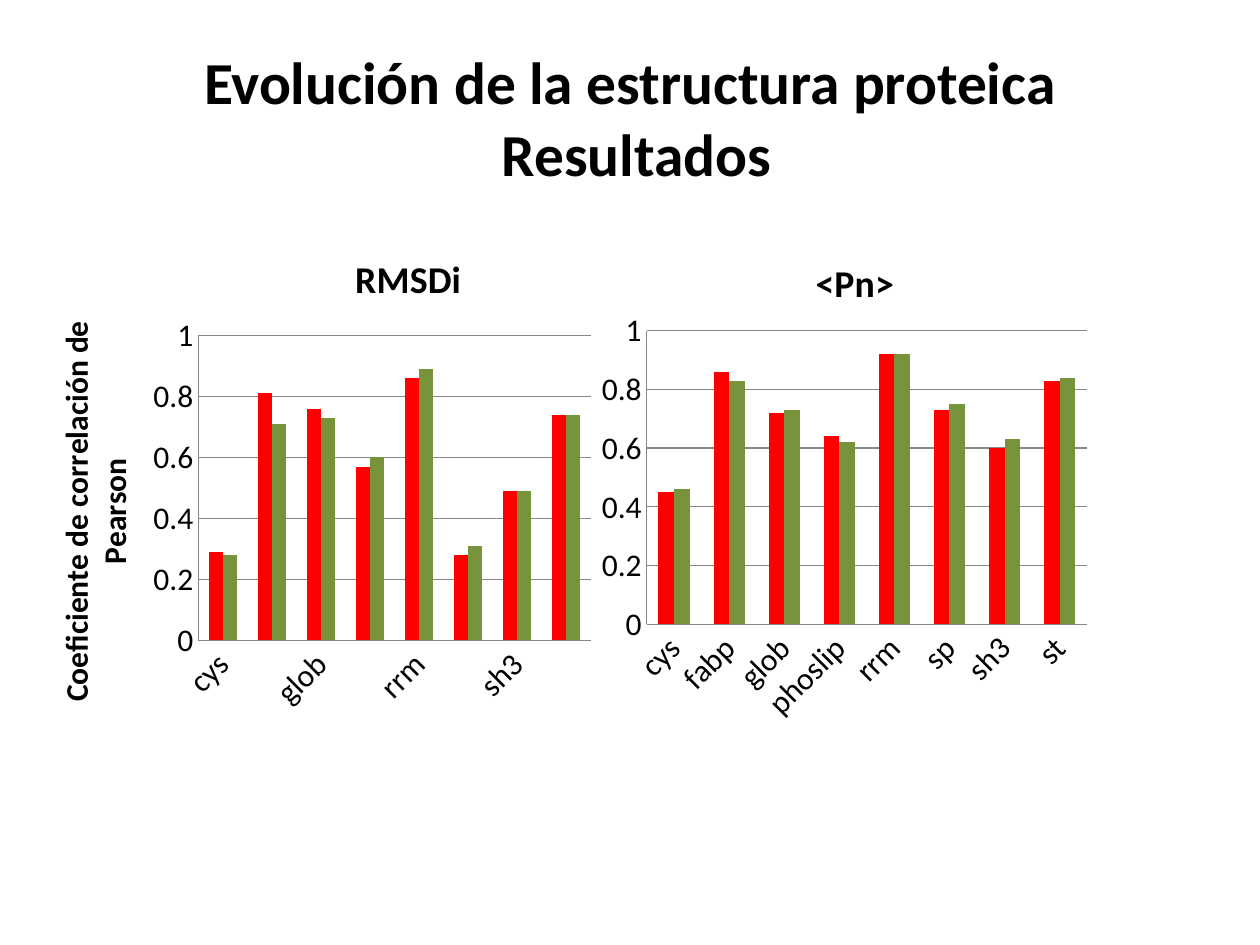
from dataclasses import dataclass

from lxml import etree
from pptx import Presentation
from pptx.chart import data as chart_data
from pptx.dml.color import RGBColor
from pptx.enum import chart as ch, text as tx
from pptx.oxml import ns
from pptx.util import Pt


@dataclass(frozen=True)
class Theme:
    font: str = "Calibri"
    ink: RGBColor = RGBColor(0, 0, 0)
    grid: RGBColor = RGBColor(0x87, 0x87, 0x87)
    series: tuple = (RGBColor(0xFF, 0, 0), RGBColor(0x77, 0x93, 0x3C))
    heading: float = 34
    chart_title: float = 21.6
    label: float = 18


THEME = Theme()
FAMILIES = ("cys", "fabp", "glob", "phoslip", "rrm", "sp", "sh3", "st")


def style_font(font, size, bold=False):
    font.name = THEME.font
    font.size = Pt(size)
    font.bold = bold
    font.color.rgb = THEME.ink


def write(frame, content, size=THEME.label, bold=True, align=None):
    paragraph = frame.paragraphs[0]
    paragraph.alignment = align
    for index, line in enumerate(content.split("\n")):
        if index:
            paragraph.add_line_break()
        run = paragraph.add_run()
        run.text = line
        style_font(run.font, size, bold)


def place(element, index, inner=False, **fractions):
    layout = element.find(ns.qn("c:layout"))
    if layout is None:
        layout = etree.Element(ns.qn("c:layout"))
        element.insert(index, layout)
    manual = etree.SubElement(layout, ns.qn("c:manualLayout"))
    settings = {"layoutTarget": "inner"} if inner else {}
    settings.update(xMode="edge", yMode="edge", **fractions)
    for tag, value in settings.items():
        etree.SubElement(manual, ns.qn(f"c:{tag}")).set("val", str(value))


def add_title(owner_title, content, size, x, y):
    write(owner_title.text_frame, content, size=size)
    place(owner_title._element, 1, x=x, y=y)


def style_axes(chart):
    category, value = chart.category_axis, chart.value_axis
    for axis in (category, value):
        axis.major_tick_mark = ch.XL_TICK_MARK.NONE
        axis.minor_tick_mark = ch.XL_TICK_MARK.NONE
        axis.format.line.color.rgb = THEME.grid
        axis.format.line.width = Pt(0.75)
        style_font(axis.tick_labels.font, THEME.label)
    category._element.txPr.bodyPr.set("rot", "-2700000")
    value.minimum_scale, value.maximum_scale, value.major_unit = 0, 1, 0.2
    value.has_major_gridlines = True
    grid_line = value.major_gridlines.format.line
    grid_line.color.rgb = THEME.grid
    grid_line.width = Pt(0.75)


def add_correlation_chart(slide, box, title, title_at, plot, values):
    correlations = chart_data.CategoryChartData()
    correlations.categories = FAMILIES
    for number, row in enumerate(values, 1):
        correlations.add_series(f"Series {number}", row)
    chart = slide.shapes.add_chart(
        ch.XL_CHART_TYPE.COLUMN_CLUSTERED, *map(Pt, box), correlations
    ).chart
    style_font(chart.font, THEME.label)
    chart.has_legend = False
    chart.has_title = True
    add_title(chart.chart_title, title, THEME.chart_title, *title_at)
    bars = chart.plots[0]
    bars.gap_width, bars.overlap, bars.vary_by_categories = 150, 0, False
    for series, colour in zip(bars.series, THEME.series):
        series.format.fill.solid()
        series.format.fill.fore_color.rgb = colour
    style_axes(chart)
    plot_area = chart._chartSpace.chart.plotArea
    place(plot_area, 0, inner=True, **dict(zip("xywh", plot)))
    return chart


def add_heading(slide, content):
    frame = slide.shapes.add_textbox(Pt(36), Pt(21.6), Pt(648), Pt(90)).text_frame
    frame.word_wrap = True
    frame.vertical_anchor = tx.MSO_ANCHOR.MIDDLE
    write(frame, content, size=THEME.heading, align=tx.PP_ALIGN.CENTER)


def main():
    deck = Presentation()
    deck.slide_width, deck.slide_height = Pt(720), Pt(540)
    slide = deck.slides.add_slide(deck.slide_layouts[6])

    rmsd = add_correlation_chart(
        slide, (14.4, 126, 329.8, 285.8), "RMSDi", (0.56, 0.05),
        (0.3, 0.23, 0.68, 0.61),
        ((0.29, 0.81, 0.76, 0.57, 0.86, 0.28, 0.49, 0.74),
         (0.28, 0.71, 0.73, 0.6, 0.89, 0.31, 0.49, 0.74)),
    )
    axis_title = rmsd.value_axis.axis_title
    add_title(axis_title, "Coeficiente de correlación de Pearson",
              THEME.label, 0.04, 0.19)
    axis_title.text_frame._txBody.bodyPr.set("rot", "-5400000")
    axis_title.text_frame._txBody.bodyPr.set("vert", "horz")

    add_correlation_chart(
        slide, (337.7, 128.2, 289.4, 289.4), "<Pn>", (0.43, 0.05),
        (0.11, 0.21, 0.87, 0.58),
        ((0.45, 0.86, 0.72, 0.64, 0.92, 0.73, 0.6, 0.83),
         (0.46, 0.83, 0.73, 0.62, 0.92, 0.75, 0.63, 0.84)),
    )
    add_heading(slide, "Evolución de la estructura proteica\n Resultados")
    deck.save("out.pptx")


if __name__ == "__main__":
    main()
